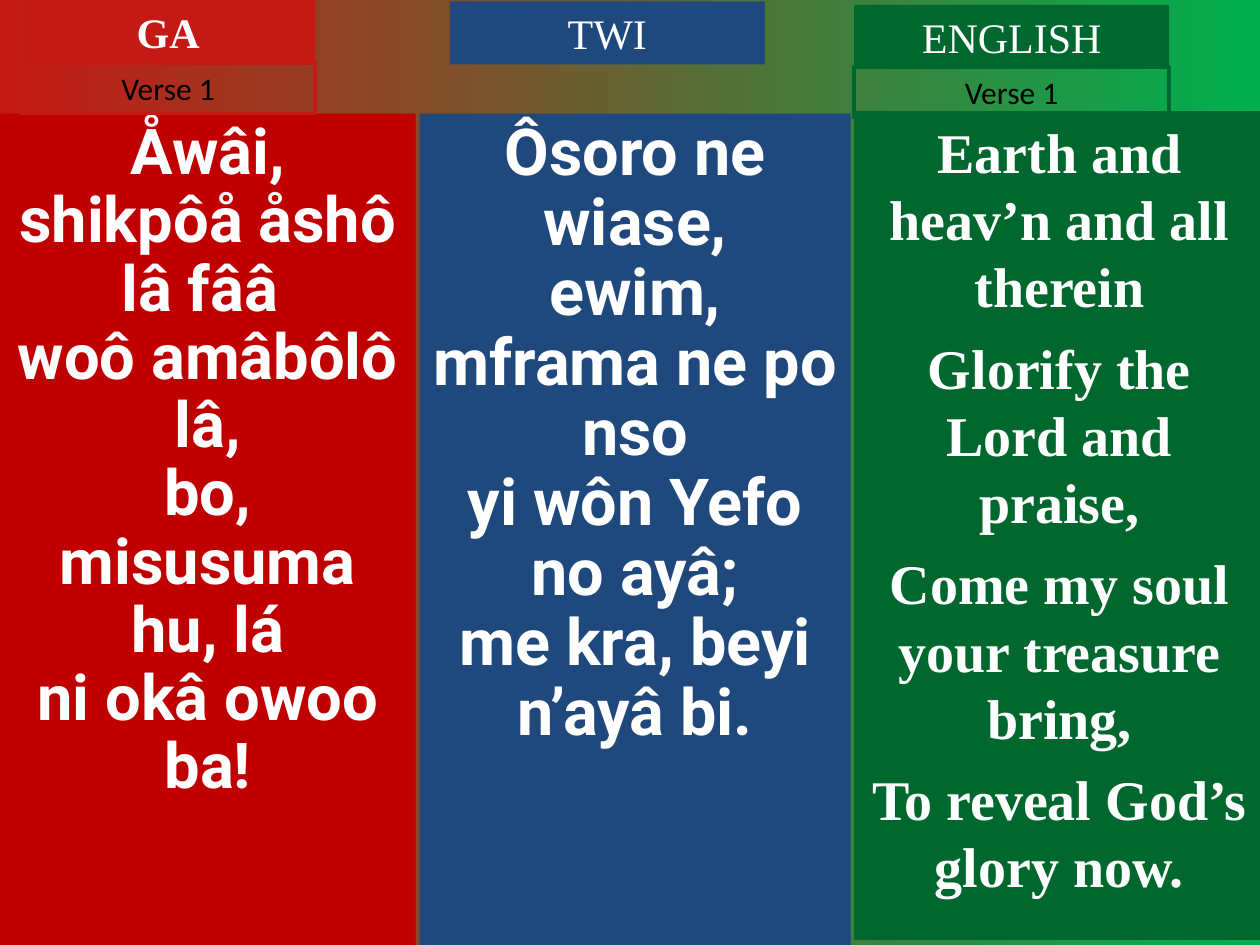
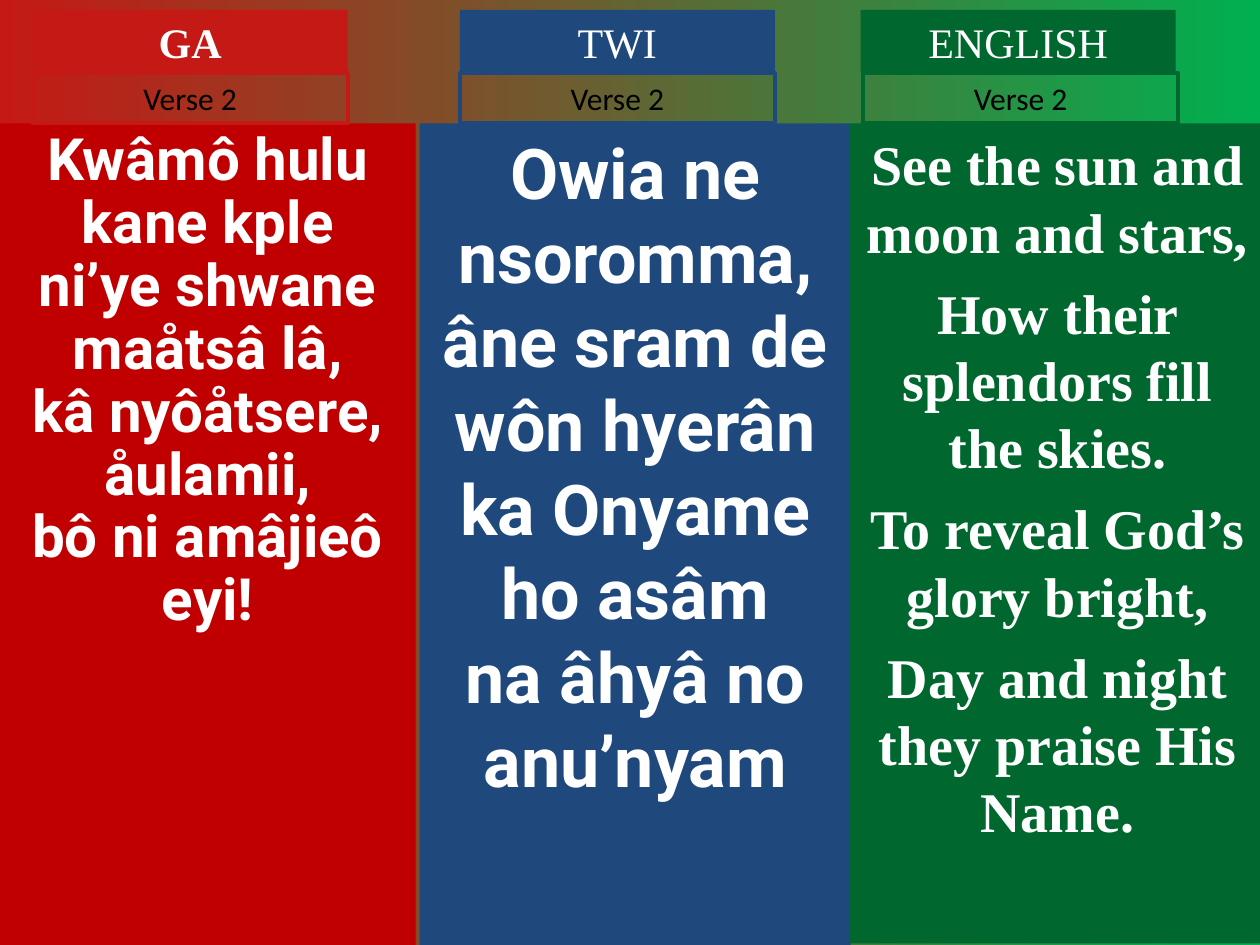
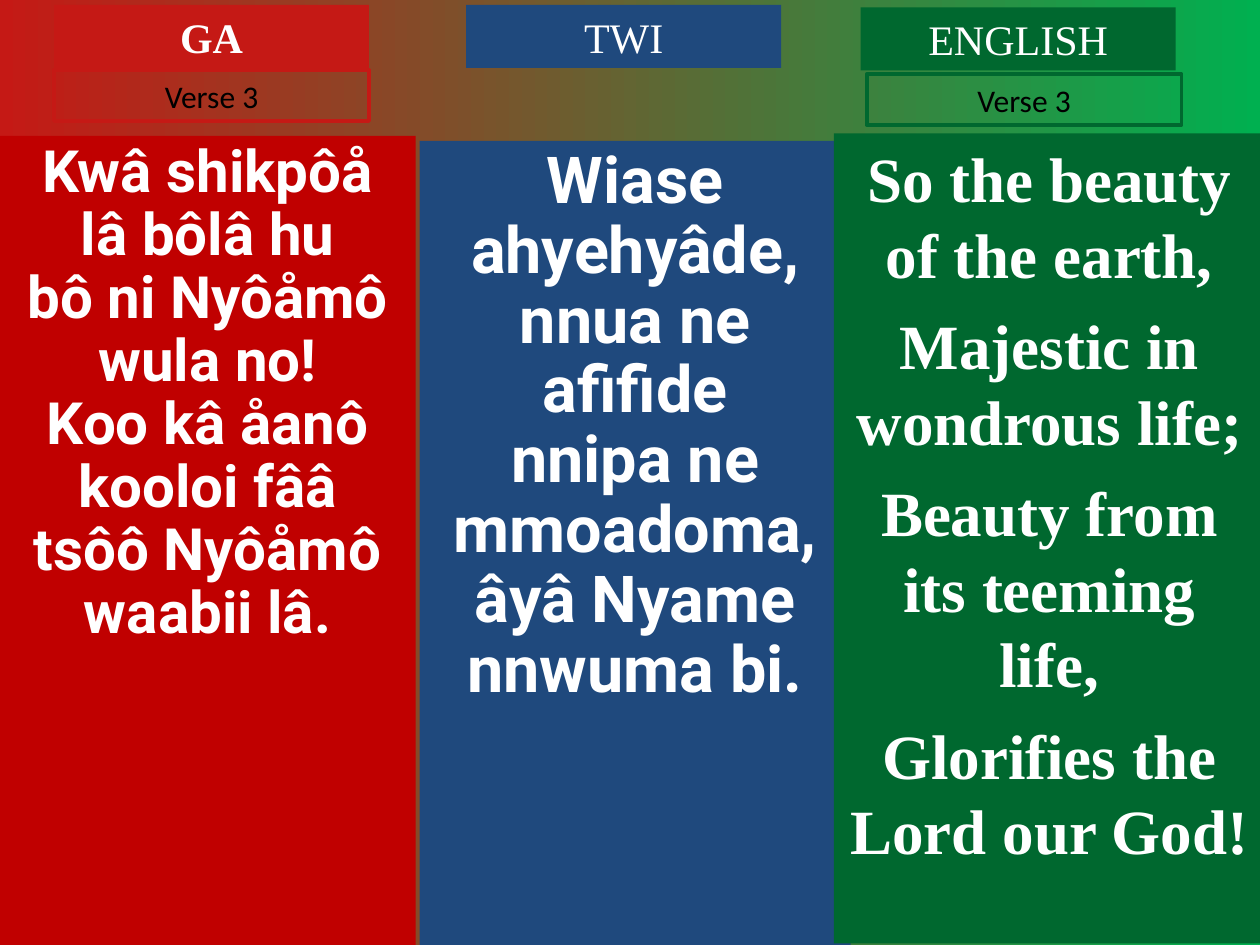
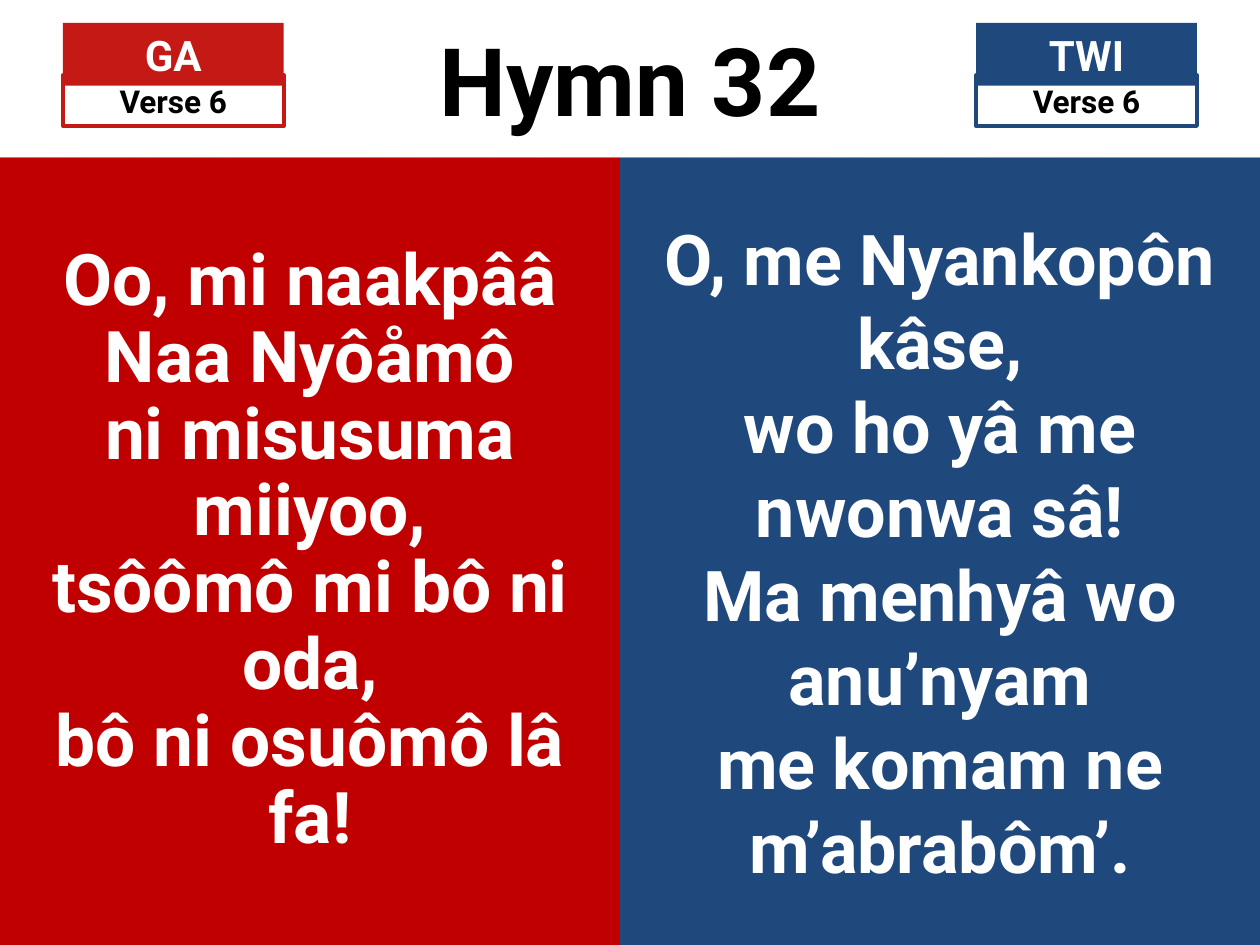
from dataclasses import dataclass

from pptx import Presentation
from pptx.dml.color import RGBColor
from pptx.enum.shapes import MSO_SHAPE as Preset
from pptx.enum.text import MSO_ANCHOR as Anchor, MSO_AUTO_SIZE as AutoSize, PP_ALIGN as Align
from pptx.util import Cm, Pt

WIDTH, HEIGHT = 25.4, 19.05


# Colours, fonts and type sizes
@dataclass(frozen=True)
class Theme:
    white: str = "FFFFFF"
    black: str = "000000"
    bright_red: str = "C51915"
    deep_red: str = "C00000"
    blue: str = "1F497D"
    green: str = "00682F"
    bright_green: str = "00B050"
    hymn_font: str = "Roboto"
    serif: str = "Times New Roman"
    verse_font: str = "Calibri"
    title_size: float = 54
    tag_size: float = 24
    verse_size: float = 18
    rule: float = 2.25
    tag_width: float = 6.35
    tag_height: float = 1.27
    verse_height: float = 1.02


THEME = Theme()


@dataclass(frozen=True)
class Language:
    name: str
    panel_colour: str
    tag_colour: str
    font: str
    bold_tag: bool = False
    stanza_gap: float = 0  # space between lines, as a share of the type size


GA = Language("GA", THEME.deep_red, THEME.bright_red, THEME.hymn_font, bold_tag=True)
TWI = Language("TWI", THEME.blue, THEME.blue, THEME.hymn_font)
ENGLISH = Language("ENGLISH", THEME.green, THEME.green, THEME.serif, stanza_gap=0.25)


class HymnDeck:
    def __init__(self, theme):
        self.theme = theme
        self.prs = Presentation()
        self.prs.slide_width, self.prs.slide_height = Cm(WIDTH), Cm(HEIGHT)
        self.slide = None
        # Shared background, running from red to green
        background = self.prs.slide_master.background.fill
        background.gradient()
        background.gradient_angle = 0
        for stop, colour in zip(background.gradient_stops, (theme.bright_red, theme.bright_green)):
            stop.color.rgb = RGBColor.from_string(colour)

    def new_slide(self, title=None):
        layout = self.prs.slide_layouts[5 if title else 6]
        self.slide = self.prs.slides.add_slide(layout)
        if title:
            self.title_band(title)

    def title_band(self, title):
        band = self.slide.shapes.title
        band.left, band.top, band.width, band.height = Cm(0), Cm(0), Cm(WIDTH), Cm(3.18)
        self.paint(band, fill=self.theme.white)
        self.set_text(band, [title], self.theme.hymn_font, self.theme.title_size,
                      self.theme.black, bold=True, anchor=Anchor.MIDDLE)

    def paint(self, shape, fill=None, line=None):
        if fill:
            shape.fill.solid()
            shape.fill.fore_color.rgb = RGBColor.from_string(fill)
        else:
            shape.fill.background()
        if line:
            shape.line.color.rgb = RGBColor.from_string(line)
            shape.line.width = Pt(self.theme.rule)
        else:
            shape.line.fill.background()

    def set_text(self, shape, lines, font, size, colour, bold=False, anchor=Anchor.TOP,
                 spacing=None, gap=0, fit=AutoSize.NONE):
        frame = shape.text_frame
        frame.text = "\n".join(lines)
        frame.word_wrap = True
        frame.auto_size = fit
        frame.vertical_anchor = anchor
        frame.margin_left = frame.margin_right = Cm(0.25)
        frame.margin_top = frame.margin_bottom = Cm(0.13)
        for index, paragraph in enumerate(frame.paragraphs):
            paragraph.alignment = Align.CENTER
            paragraph.space_before = Pt(gap if index else 0)
            if spacing:
                paragraph.line_spacing = spacing
            for run in paragraph.runs:
                run.font.name, run.font.size, run.font.bold = font, Pt(size), bold
                run.font.color.rgb = RGBColor.from_string(colour)

    def box(self, left, top, width, height, fill=None, line=None):
        shape = self.slide.shapes.add_shape(
            Preset.RECTANGLE, Cm(left), Cm(top), Cm(width), Cm(height))
        shape.shadow.inherit = False
        self.paint(shape, fill, line)
        return shape

    def stanza(self, language, place, lines, size, spacing=None, anchor=Anchor.TOP, bottom=HEIGHT):
        left, top, width = place
        panel = self.box(left, top, width, bottom - top, fill=language.panel_colour)
        self.set_text(panel, lines, language.font, size, self.theme.white, bold=True,
                      anchor=anchor, spacing=spacing, gap=size * language.stanza_gap)

    def language_tag(self, language, left, top, width=THEME.tag_width, font=THEME.serif, bold=False):
        tag = self.box(left, top, width, self.theme.tag_height, fill=language.tag_colour)
        self.set_text(tag, [language.name], font, self.theme.tag_size, self.theme.white,
                      bold=bold or language.bold_tag, fit=AutoSize.SHAPE_TO_FIT_TEXT)

    def verse_label(self, language, number, left, top, width=THEME.tag_width,
                    font=THEME.verse_font, bold=False):
        label = self.box(left, top, width, self.theme.verse_height, line=language.tag_colour)
        self.set_text(label, [f"Verse {number}"], font, self.theme.verse_size, self.theme.black,
                      bold=bold, fit=AutoSize.SHAPE_TO_FIT_TEXT)


def verse_1(deck):
    deck.new_slide()
    # Ga
    deck.stanza(GA, (0, 2.29, 8.38), [
        "Åwâi, shikpôå åshô lâ fââ ", "woô amâbôlô lâ,",
        "bo, misusuma hu, lá", "ni okâ owoo ba!"], 36.1, spacing=0.9)
    deck.language_tag(GA, 0.43, 0, width=5.92)
    deck.verse_label(GA, 1, 0.43, 1.27, width=5.92)
    # Twi
    deck.stanza(TWI, (8.46, 2.29, 8.69), [
        "Ôsoro ne wiase,", "ewim, mframa ne po nso",
        "yi wôn Yefo no ayâ;", "me kra, beyi n’ayâ bi."], 37, spacing=0.9)
    deck.language_tag(TWI, 9.07, 0.03)
    # English
    deck.stanza(ENGLISH, (17.22, 2.24, 8.28), [
        "Earth and heav’n and all therein", "Glorify the Lord and praise,",
        "Come my soul your treasure bring,", "To reveal God’s glory now."], 32, bottom=18.95)
    deck.language_tag(ENGLISH, 17.22, 0.1)
    deck.verse_label(ENGLISH, 1, 17.22, 1.35)


def verse_2(deck):
    deck.new_slide()
    # Stanzas
    deck.stanza(GA, (0, 2.49, 8.38), [
        "Kwâmô hulu kane kple", "ni’ye shwane maåtsâ lâ,",
        "kâ nyôåtsere, åulamii,", "bô ni amâjieô eyi!"], 33.3, spacing=0.9)
    deck.stanza(TWI, (8.46, 2.49, 8.69), [
        "Owia ne nsoromma,", "âne sram de wôn hyerân",
        "ka Onyame ho asâm", "na âhyâ no anu’nyam"], 40)
    deck.stanza(ENGLISH, (17.14, 2.49, 8.36), [
        "See the sun and moon and stars,", "How their splendors fill the skies.",
        "To reveal God’s glory bright,", "Day and night they praise His Name."],
        32, bottom=19.02)
    # Headings
    for language, tag_left, verse_left in (
            (GA, 0.66, 0.66), (TWI, 9.27, 9.27), (ENGLISH, 17.35, 17.4)):
        deck.language_tag(language, tag_left, 0.2)
        deck.verse_label(language, 2, verse_left, 1.47)


def verse_3(deck):
    deck.new_slide()
    # Ga
    deck.stanza(GA, (0, 2.74, 8.38), [
        "Kwâ shikpôå lâ bôlâ hu", "bô ni Nyôåmô wula no!",
        "Koo kâ åanô kooloi fââ", "tsôô Nyôåmô waabii lâ."], 33.3, spacing=0.9)
    deck.language_tag(GA, 1.09, 0.1)
    deck.verse_label(GA, 3, 1.09, 1.42)
    # Twi
    deck.stanza(TWI, (8.46, 2.84, 8.69), [
        "Wiase ahyehyâde,", "nnua ne afifide",
        "nnipa ne mmoadoma,", "âyâ Nyame nnwuma bi."], 37, spacing=0.9)
    deck.language_tag(TWI, 9.4, 0.1)
    # English
    deck.stanza(ENGLISH, (16.81, 2.69, 8.69), [
        "So the beauty of the earth,", "Majestic in wondrous life;",
        "Beauty from its teeming life,", "Glorifies the Lord our God!"], 36, bottom=19.02)
    deck.language_tag(ENGLISH, 17.35, 0.15)
    deck.verse_label(ENGLISH, 3, 17.47, 1.5)


def verse_6(deck):
    deck.new_slide("Hymn 32")
    # Stanzas
    deck.stanza(GA, (0, 3.18, 12.5), [
        "Oo, mi naakpââ Naa Nyôåmô", "ni misusuma miiyoo,",
        "tsôômô mi bô ni oda,", "bô ni osuômô lâ fa!"],
        40.7, spacing=0.9, anchor=Anchor.MIDDLE)
    deck.stanza(TWI, (12.5, 3.18, 12.9), [
        "O, me Nyankopôn kâse,", "wo ho yâ me nwonwa sâ!",
        "Ma menhyâ wo anu’nyam", "me komam ne m’abrabôm’."],
        40, anchor=Anchor.MIDDLE)
    # Headings, at equal distances from both edges
    heading_width, margin = 4.45, 1.27
    heading = dict(width=heading_width, font=THEME.hymn_font, bold=True)
    for language, left in ((GA, margin), (TWI, WIDTH - margin - heading_width)):
        deck.language_tag(language, left, 0.46, **heading)
        deck.verse_label(language, 6, left, 1.52, **heading)


def main():
    deck = HymnDeck(THEME)
    for build in (verse_1, verse_2, verse_3, verse_6):
        build(deck)
    deck.prs.save("out.pptx")


if __name__ == "__main__":
    main()
